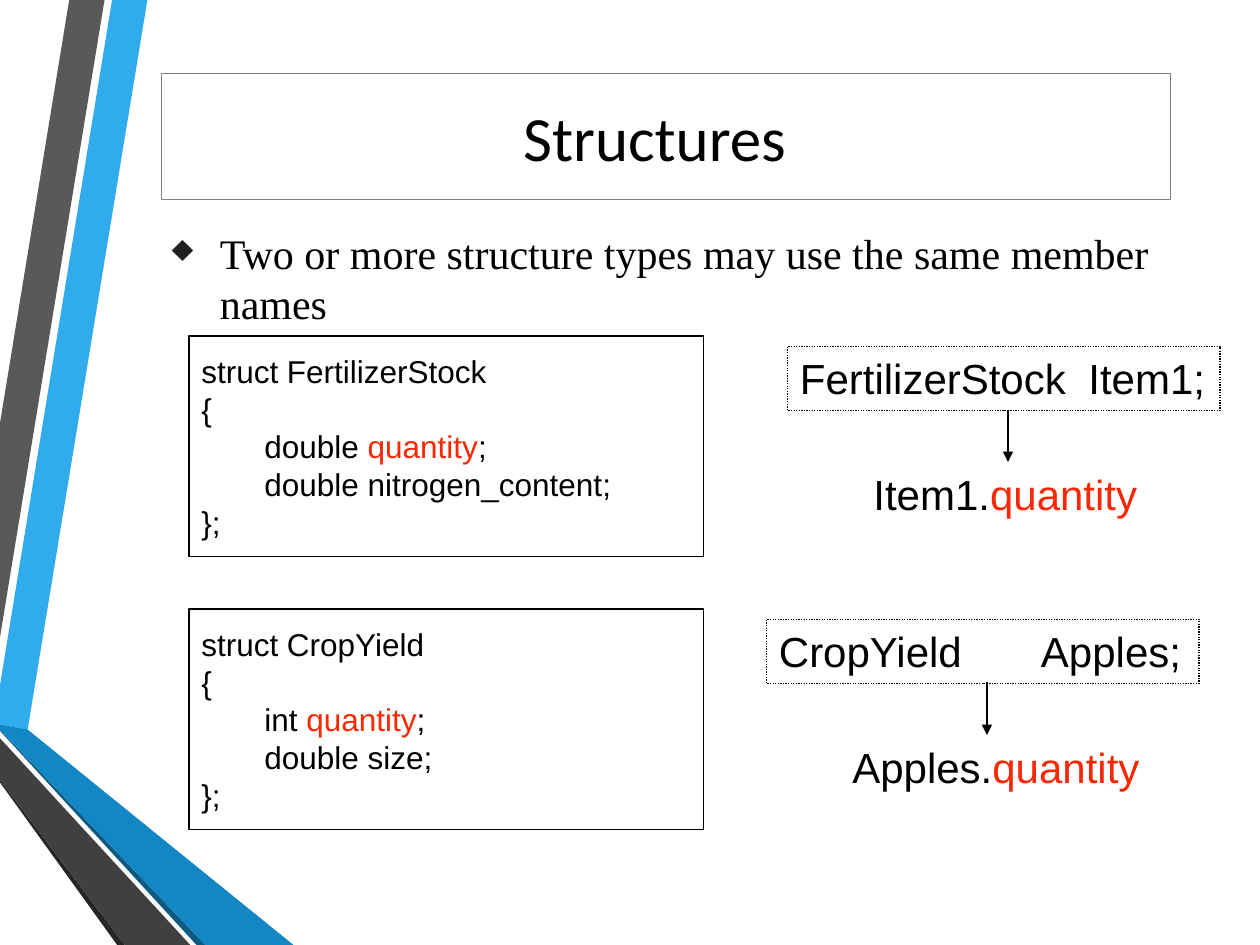
import pptx
import pptx.util
import pptx.dml.color
import pptx.enum.dml
import pptx.enum.shapes
import pptx.enum.text
import lxml.etree

COLORS = {
    "white": "FFFFFF", "black": "000000", "red": "F82704", "frame": "808080",
    "bullet": "212121", "sky": "30ACEC", "gray": "595959", "dark": "404040",
    "shadow": "262626", "blue": "1287C3", "navy": "0C5A82",
}
COLUMNS, ROWS = 120, 90
RIBBONS = [
    ("sky", [(0, 544), (0, 575), (22, 579), (117, 0), (89, 0)]),
    ("gray", [(83, 0), (55, 0), (0, 336), (0, 506)]),
    ("shadow", [(0, 619), (0, 621), (93, 750), (99, 750)]),
    ("navy", [(0, 579), (0, 580), (156, 750), (163, 750)]),
    ("blue", [(0, 579), (163, 750), (233, 750), (22, 579), (0, 575)]),
    ("dark", [(0, 619), (99, 750), (151, 750), (0, 586)]),
]
STRUCTS = [
    ("FertilizerStock", "double", "double nitrogen_content;", "Item1", 32, 75, 2.29),
    ("CropYield", "int", "double size;", "Apples", 58, 73, 2.08),
]

prs = pptx.Presentation()
prs.slide_width = pptx.util.Inches(10)
prs.slide_height = pptx.util.Inches(7.5)
s = prs.slides.add_slide(prs.slide_layouts[6])


def rgb(name):
    return pptx.dml.color.RGBColor.from_string(COLORS[name])


def cell(col, row):
    return round(col * prs.slide_width / COLUMNS), round(row * prs.slide_height / ROWS)


def sub(parent, tag, **attrs):
    node = lxml.etree.SubElement(parent, pptx.oxml.ns.qn(tag))
    for key, value in attrs.items():
        node.set(key, str(value))
    return node


def add_run(p, text, size=18, font="Arial", color="black"):
    r = p.add_run()
    r.text = text
    r.font.size = pptx.util.Pt(size)
    r.font.name = font
    r.font.color.rgb = rgb(color)


def add_box(box, line=None, fill=None, dash=None, anchor="TOP"):
    sp = s.shapes.add_shape(pptx.enum.shapes.MSO_SHAPE.RECTANGLE, *cell(*box[:2]), *cell(*box[2:]))
    sp.shadow.inherit = False
    if fill:
        sp.fill.solid()
        sp.fill.fore_color.rgb = rgb(fill)
    else:
        sp.fill.background()
    if line:
        sp.line.color.rgb = rgb(line)
        sp.line.width = pptx.util.Pt(0.75)
        sp.line.dash_style = dash
    else:
        sp.line.fill.background()
    tf = sp.text_frame
    tf.word_wrap = True
    tf.margin_right = 0
    tf.vertical_anchor = getattr(pptx.enum.text.MSO_ANCHOR, anchor)
    tf.paragraphs[0].alignment = pptx.enum.text.PP_ALIGN.LEFT
    return tf


def add_arrow(col, top, bottom):
    line = s.shapes.add_connector(
        pptx.enum.shapes.MSO_CONNECTOR.STRAIGHT, *cell(col, top), *cell(col, bottom))
    line.line.color.rgb = rgb("black")
    line.line.width = pptx.util.Pt(0.75)
    sub(line.line._get_or_add_ln(), "a:tailEnd", type="triangle")
    sub(line._element.spPr, "a:effectLst")


def add_ribbons():
    for color, points in RIBBONS:
        builder = s.shapes.build_freeform(*points[0], scale=prs.slide_width / 1000)
        builder.add_line_segments(points[1:], close=True)
        sp = builder.convert_to_shape()
        sp.shadow.inherit = False
        sp.fill.solid()
        sp.fill.fore_color.rgb = rgb(color)
        sp.line.fill.background()


def add_title(box, text):
    left, top, width, height = box
    add_box(box, "frame", "white")
    tf = add_box((left - 3.6, 0, width + 5, 26), anchor="MIDDLE")
    tf.margin_right = pptx.util.Inches(0.1)
    p = tf.paragraphs[0]
    p.alignment = pptx.enum.text.PP_ALIGN.CENTER
    add_run(p, text, 36, "Calibri")


def add_bullet(box, text):
    p = add_box(box).paragraphs[0]
    p.space_before = pptx.util.Pt(4.8)
    p.line_spacing = pptx.util.Pt(29)
    indent = pptx.util.Inches(0.38)
    pPr = p._p.get_or_add_pPr()
    pPr.set("marL", str(indent))
    pPr.set("indent", str(-indent))
    sub(sub(pPr, "a:buClr"), "a:srgbClr", val=COLORS["bullet"])
    sub(pPr, "a:buSzPct", val=90000)
    sub(pPr, "a:buChar", char="♦")
    add_run(p, text, 24, "Times New Roman")


def add_struct(box, name, kind, second):
    tf = add_box(box, "black", "white", anchor="MIDDLE")
    lines = [
        (0, [("struct " + name, "black")]),
        (0, [("{", "black")]),
        (0.5, [(kind + " ", "black"), ("quantity", "red"), (";", "black")]),
        (0.5, [(second, "black")]),
        (0, [("};", "black")]),
    ]
    for i, (indent, runs) in enumerate(lines):
        p = tf.add_paragraph() if i else tf.paragraphs[0]
        p.alignment = pptx.enum.text.PP_ALIGN.LEFT
        p.line_spacing = pptx.util.Pt(21.6)
        p._p.get_or_add_pPr().set("marL", str(pptx.util.Inches(indent)))
        for text, color in runs:
            add_run(p, text, color=color)


def add_usage(box, name, variable, tab):
    left, top, width, height = box
    p = add_box(box, "black", dash=pptx.enum.dml.MSO_LINE.ROUND_DOT).paragraphs[0]
    tabs = sub(p._p.get_or_add_pPr(), "a:tabLst")
    sub(tabs, "a:tab", pos=pptx.util.Inches(tab), algn="l")
    add_run(p, f"{name}\t{variable};", 24)
    add_arrow(left + 21, top + 6, top + 11)
    p = add_box((left + 7, top + 11, 30, 6)).paragraphs[0]
    add_run(p, variable + ".", 24)
    add_run(p, "quantity", 24, color="red")


add_ribbons()
add_title((15.4, 7, 96.1, 12), "Structures")
add_bullet((15.2, 21, 102, 62), "Two or more structure types may use the same member names")
for name, kind, second, variable, row, col, tab in STRUCTS:
    add_struct((18, row, 49, 21), name, kind, second)
    add_usage((col, row + 1, 41.2, 6.1), name, variable, tab)
prs.save("out.pptx")
